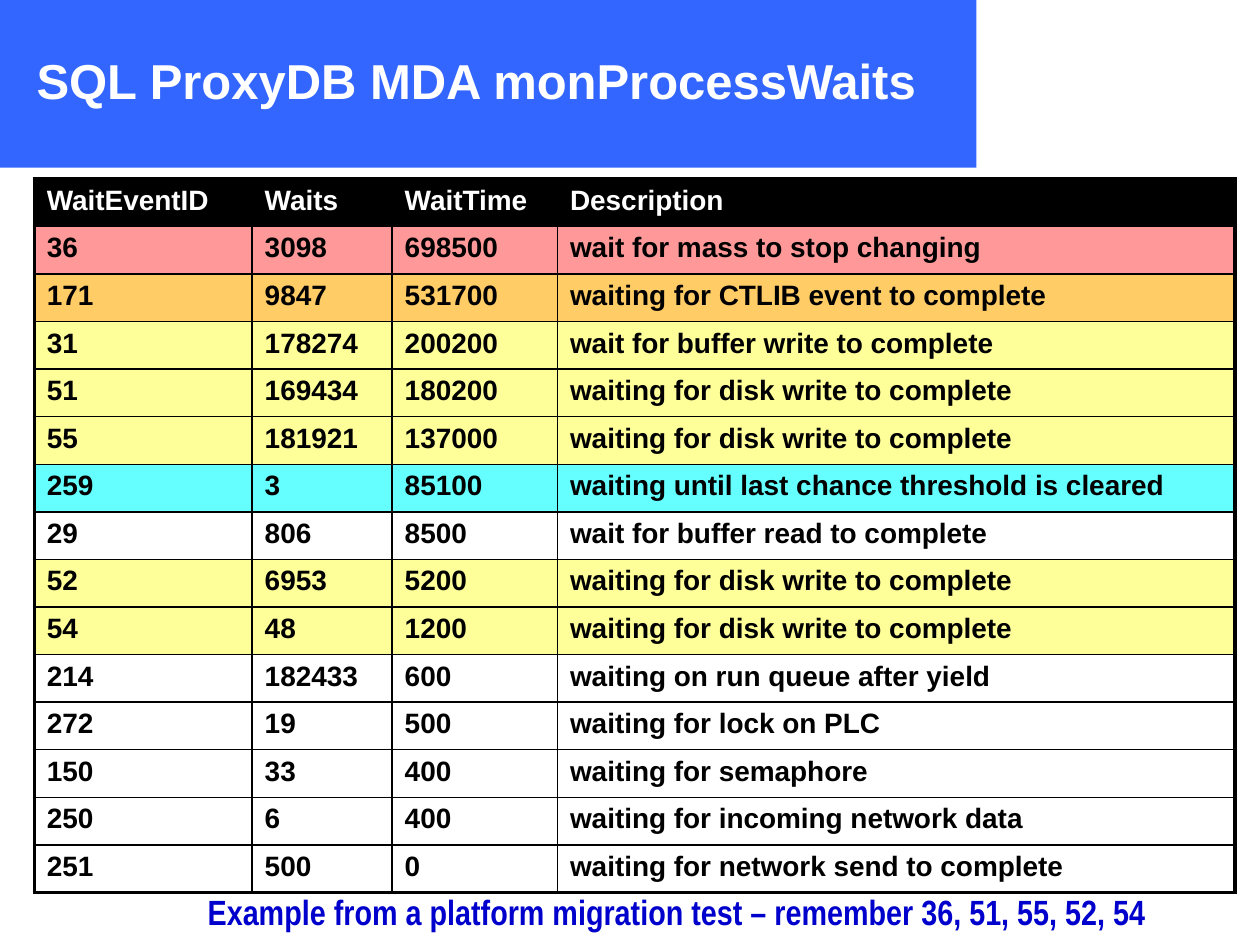
from typing import NamedTuple

from lxml import etree
from pptx import Presentation
from pptx.dml.color import RGBColor
from pptx.enum import shapes, text
from pptx.oxml.ns import qn
from pptx.util import Pt

COLORS = {
    "banner": "3366FF", "white": "FFFFFF", "black": "000000", "caption": "0000CC",
    "red": "FF9999", "orange": "FFCC66", "yellow": "FFFF99", "cyan": "66FFFF",
}
COLUMN_WIDTHS = (124.5, 80, 94.5, 387.2)
ROW_HEIGHT = 27.2
THIN, THICK = 1, 2.25


class WaitRow(NamedTuple):
    event_id: str
    waits: str
    wait_time: str
    description: str
    fill: str = ""
    ink: str = "black"


ROWS = (
    WaitRow("WaitEventID", "Waits", "WaitTime", "Description", "black", "white"),
    WaitRow("36", "3098", "698500", "wait for mass to stop changing", "red"),
    WaitRow("171", "9847", "531700", "waiting for CTLIB event to complete", "orange"),
    WaitRow("31", "178274", "200200", "wait for buffer write to complete", "yellow"),
    WaitRow("51", "169434", "180200", "waiting for disk write to complete", "yellow"),
    WaitRow("55", "181921", "137000", "waiting for disk write to complete", "yellow"),
    WaitRow("259", "3", "85100", "waiting until last chance threshold is cleared", "cyan"),
    WaitRow("29", "806", "8500", "wait for buffer read to complete"),
    WaitRow("52", "6953", "5200", "waiting for disk write to complete", "yellow"),
    WaitRow("54", "48", "1200", "waiting for disk write to complete", "yellow"),
    WaitRow("214", "182433", "600", "waiting on run queue after yield"),
    WaitRow("272", "19", "500", "waiting for lock on PLC"),
    WaitRow("150", "33", "400", "waiting for semaphore"),
    WaitRow("250", "6", "400", "waiting for incoming network data"),
    WaitRow("251", "500", "0", "waiting for network send to complete"),
)


def rgb(name: str) -> RGBColor:
    return RGBColor.from_string(COLORS[name])


def place(sp, left: float, top: float, width: float, height: float) -> None:
    sp.left, sp.top, sp.width, sp.height = map(Pt, (left, top, width, height))


def write(tf, content: str, size: float, color: str, font: str = "Arial") -> None:
    """Set bold, left-aligned text in a text frame."""
    tf.text = content
    p = tf.paragraphs[0]
    p.alignment = text.PP_ALIGN.LEFT
    f = p.runs[0].font
    f.name, f.size, f.bold = font, Pt(size), True
    f.color.rgb = rgb(color)


def set_borders(cell, widths: dict[str, float]) -> None:
    """Insert the border lines ahead of the cell's fill, as the schema requires."""
    tc_pr = cell._tc.get_or_add_tcPr()
    for i, (side, width) in enumerate(widths.items()):
        ln = etree.Element(qn(f"a:ln{side}"), w=str(int(Pt(width))))
        fill = etree.SubElement(ln, qn("a:solidFill"))
        etree.SubElement(fill, qn("a:srgbClr"), val=COLORS["black"])
        tc_pr.insert(i, ln)


def add_banner(slide) -> None:
    sp = slide.shapes.add_shape(shapes.MSO_SHAPE.RECTANGLE, 0, 0, Pt(558), Pt(95.8))
    sp.shadow.inherit = False
    sp.fill.solid()
    sp.fill.fore_color.rgb = rgb("banner")
    sp.line.fill.background()
    slide.shapes._spTree.insert(2, sp._element)  # behind the title


def add_title(slide) -> None:
    sp = slide.shapes.title
    place(sp, 13.7, 0.7, 543, 90)
    sp.fill.solid()
    sp.fill.fore_color.rgb = rgb("banner")
    write(sp.text_frame, "SQL ProxyDB MDA monProcessWaits", 28, "white")
    sp.text_frame.vertical_anchor = text.MSO_ANCHOR.MIDDLE


def add_wait_table(slide, rows: tuple[WaitRow, ...]) -> None:
    last_row, last_col = len(rows) - 1, len(COLUMN_WIDTHS) - 1
    frame = slide.shapes.add_table(
        len(rows), len(COLUMN_WIDTHS), Pt(19.6), Pt(102.2),
        Pt(sum(COLUMN_WIDTHS)), Pt(ROW_HEIGHT * len(rows)))
    table = frame.table
    table.horz_banding = False
    for column, width in zip(table.columns, COLUMN_WIDTHS):
        column.width = Pt(width)
    for r, row in enumerate(rows):
        table.rows[r].height = Pt(ROW_HEIGHT)
        for c, value in enumerate(row[:len(COLUMN_WIDTHS)]):
            cell = table.cell(r, c)
            write(cell.text_frame, value, 16, row.ink)
            if row.fill:
                cell.fill.solid()
                cell.fill.fore_color.rgb = rgb(row.fill)
            else:
                cell.fill.background()
            outer = {"L": c == 0, "R": c == last_col, "T": r == 0, "B": r == last_row}
            set_borders(cell, {s: THICK if edge else THIN for s, edge in outer.items()})


def add_caption(slide) -> None:
    sp = slide.shapes.add_textbox(Pt(111.6), Pt(505.4), Pt(551.5), Pt(31))
    tf = sp.text_frame
    tf.word_wrap = True
    tf.auto_size = text.MSO_AUTO_SIZE.SHAPE_TO_FIT_TEXT
    write(tf, "Example from a platform migration test – remember 36, 51, 55, 52, 54",
          20, "caption", "Arial Narrow")


def main() -> None:
    prs = Presentation()
    prs.slide_width, prs.slide_height = Pt(720), Pt(540)
    slide = prs.slides.add_slide(prs.slide_layouts[5])
    add_banner(slide)
    add_title(slide)
    add_wait_table(slide, ROWS)
    add_caption(slide)
    prs.save("out.pptx")


if __name__ == "__main__":
    main()
